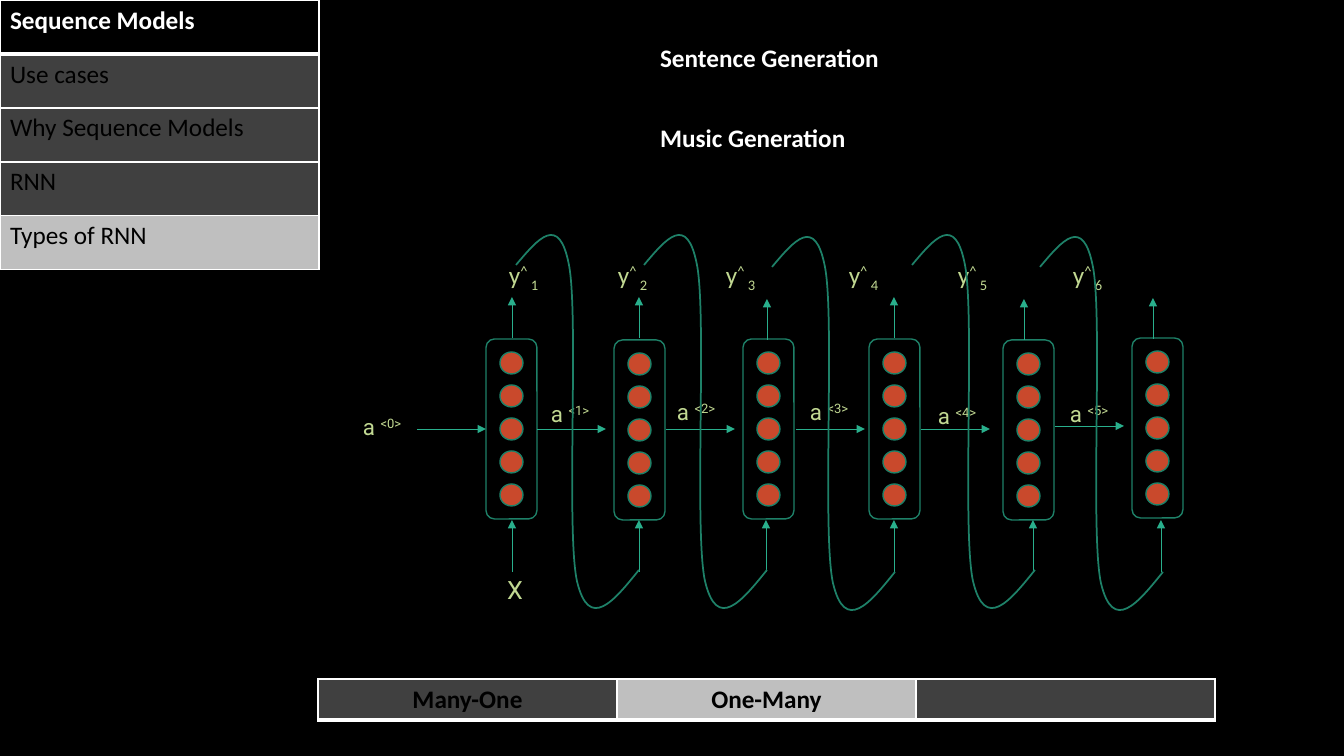
"""Build the one-to-many recurrent network slide."""
from lxml import etree
from pptx import Presentation
from pptx.dml.color import RGBColor
from pptx.enum.shapes import MSO_CONNECTOR, MSO_SHAPE
from pptx.enum.text import MSO_ANCHOR, MSO_AUTO_SIZE, PP_ALIGN
from pptx.oxml.ns import qn
from pptx.util import Emu, Pt

STRAIGHT = MSO_CONNECTOR.STRAIGHT
ROUNDED, OVAL = MSO_SHAPE.ROUNDED_RECTANGLE, MSO_SHAPE.OVAL
TOP, MIDDLE = MSO_ANCHOR.TOP, MSO_ANCHOR.MIDDLE
LEFT, CENTER = PP_ALIGN.LEFT, PP_ALIGN.CENTER
FIT_TEXT = MSO_AUTO_SIZE.SHAPE_TO_FIT_TEXT

BLACK = RGBColor(0x00, 0x00, 0x00)
WHITE = RGBColor(0xFF, 0xFF, 0xFF)
DARK_GRAY = RGBColor(0x40, 0x40, 0x40)
LIGHT_GRAY = RGBColor(0xBF, 0xBF, 0xBF)
GREEN = RGBColor(0x1E, 0x81, 0x68)
ARROW_GREEN = RGBColor(0x29, 0xAF, 0x8C)
ORANGE = RGBColor(0xC9, 0x49, 0x2C)
LIME = RGBColor(0xC1, 0xD8, 0x92)

EMU_PER_PX = 914400 / 100.8
PLAIN_TABLE = "{2D5ABB26-0587-4C30-8999-92F81FD0307C}"


def px(*lengths):
    """Turn pixel lengths into EMU."""
    return [Emu(round(length * EMU_PER_PX)) for length in lengths]


def write(paragraph, pieces, name, size, color, bold=False):
    """Add runs given as (text, baseline shift in percent)."""
    for text, shift in pieces:
        run = paragraph.add_run()
        run.text = text
        for attribute, value in {"name": name, "size": Pt(size), "bold": bold}.items():
            setattr(run.font, attribute, value)
        run.font.color.rgb = color
        if shift:
            run.font._element.set("baseline", str(shift * 1000))


presentation = Presentation()
presentation.slide_width, presentation.slide_height = px(1344, 756)
slide = presentation.slides.add_slide(presentation.slide_layouts[6])
slide.background.fill.solid()
slide.background.fill.fore_color.rgb = BLACK

topics = [
    ("Sequence Models", BLACK, WHITE, True),
    ("Use cases", DARK_GRAY, BLACK, False),
    ("Why Sequence Models", DARK_GRAY, BLACK, False),
    ("RNN", DARK_GRAY, BLACK, False),
    ("Types of RNN", LIGHT_GRAY, BLACK, False),
]
network_types = [
    ("Many-One", DARK_GRAY, BLACK, True),
    ("One-Many", LIGHT_GRAY, BLACK, True),
    ("", DARK_GRAY, BLACK, True),
]
examples = [
    ("Sentence Generation", None, WHITE, True),
    ("Music Generation", None, WHITE, True),
]
tables = [
    (0, 0, 319, 54, [[topic] for topic in topics], LEFT, TOP),
    (318, 679, 299, 41, [network_types], CENTER, TOP),
    (650, 19, 259, 80, [[example] for example in examples], LEFT, MIDDLE),
]
for left, top, cell_width, cell_height, rows, alignment, anchor in tables:
    column_count = len(rows[0])
    box = px(left, top, cell_width * column_count, cell_height * len(rows))
    table = slide.shapes.add_table(len(rows), column_count, *box).table
    table._tbl.tblPr.find(qn("a:tableStyleId")).text = PLAIN_TABLE
    for row_index, row in enumerate(rows):
        for column_index, (text, fill, color, bold) in enumerate(row):
            cell = table.cell(row_index, column_index)
            cell.vertical_anchor = anchor
            paragraph = cell.text_frame.paragraphs[0]
            paragraph.alignment = alignment
            if text:
                write(paragraph, [(text, 0)], "Calibri", 18, color, bold)
            if fill is None:
                cell.fill.background()
                continue
            borders = {"a:lnL": 1, "a:lnR": 1, "a:lnT": 1, "a:lnB": 3 if row_index == 0 else 1}
            if row_index > 0:
                del borders["a:lnT"]
            properties = cell._tc.get_or_add_tcPr()
            for tag, points in borders.items():
                border = etree.SubElement(properties, qn(tag), w=str(Pt(points)))
                solid = etree.SubElement(border, qn("a:solidFill"))
                etree.SubElement(solid, qn("a:srgbClr"), val=str(WHITE))
            cell.fill.solid()
            cell.fill.fore_color.rgb = fill

cells = [(486, 339), (614, 340), (743, 339), (869, 339), (1003, 340), (1132, 338)]
for left, top in cells:
    group = slide.shapes.add_group_shape()
    parts = [(ROUNDED, left, top, 51, 180)]
    parts += [(OVAL, left + 14, top + 13 + 33 * unit, 23, 22) for unit in range(5)]
    for kind, *box in parts:
        shape = group.shapes.add_shape(kind, *px(*box))
        shape.shadow.inherit = False
        shape.line.color.rgb = GREEN
        shape.line.width = Pt(1)
        if kind == OVAL:
            shape.fill.solid()
            shape.fill.fore_color.rgb = ORANGE
        else:
            shape.fill.background()

input_arrows = [(x, 572, x, 520) for x in (512, 639, 766, 894, 1033, 1161)]
state_starts = [(417, 429), (537, 429), (666, 429), (796, 429), (921, 429), (1055, 426)]
state_arrows = [(x, y, x + 69, y) for x, y in state_starts]
output_tips = [(512, 297), (639, 297), (767, 299), (894, 297), (1024, 299), (1153, 298)]
output_arrows = [(x, y + 41, x, y) for x, y in output_tips]
for ends in input_arrows + state_arrows + output_arrows:
    arrow = slide.shapes.add_connector(STRAIGHT, *px(*ends))
    arrow.line.color.rgb = ARROW_GREEN
    arrow.line.width = Pt(0.5)
    etree.SubElement(arrow.line._get_or_add_ln(), qn("a:tailEnd"), type="triangle")
    etree.SubElement(arrow._element.spPr, qn("a:effectLst"))

output_pieces = []
for step in range(1, 7):
    output_pieces += [("y" if step == 1 else "\ty", 0), ("^ ", 30), (str(step), -25)]
state_places = [(353, 408), (541, 395), (667, 393), (800, 393), (928, 397), (1060, 395)]
labels = [
    (left, top, 59, 37, [("a ", 0), (f"<{step}>", 30)], "Roboto", 16)
    for step, (left, top) in enumerate(state_places)
]
labels.append((491, 569, 59, 40, [(" X", 0)], "Roboto", 18))
labels.append((499, 254, 788, 40, output_pieces, "Calibri", 18))
for *box, pieces, font_name, size in labels:
    text_frame = slide.shapes.add_textbox(*px(*box)).text_frame
    text_frame.word_wrap = True
    text_frame.auto_size = FIT_TEXT
    paragraph = text_frame.paragraphs[0]
    write(paragraph, pieces, font_name, size, LIME)
    if pieces is output_pieces:
        tab_list = etree.SubElement(paragraph._p.get_or_add_pPr(), qn("a:tabLst"))
        for position in px(109, 217, 340, 449, 564):
            etree.SubElement(tab_list, qn("a:tab"), pos=str(position), algn="l")

RISE, DROP, SPAN = 30, 344, 123
bends = [
    [(22, -26), (43, -52), (53, 0)],
    [(63, 52), (50, 265), (61, 316)],
    [(73, 367), (98, 336), (123, 305)],
]
for left, top in [(516, 265), (644, 265), (772, 267), (912, 265), (1040, 267)]:
    builder = slide.shapes.build_freeform(*px(left, top))
    frame = [(left, top - RISE), (left + SPAN, top + DROP)]
    builder.add_line_segments([px(*corner) for corner in frame], close=False)
    curve = builder.convert_to_shape()
    outline = curve._element.find(".//" + qn("a:path"))
    for segment in outline.findall(qn("a:lnTo")):
        outline.remove(segment)
    for bend in bends:
        segment = etree.SubElement(outline, qn("a:cubicBezTo"))
        for point in bend:
            x, y = px(point[0], point[1] + RISE)
            etree.SubElement(segment, qn("a:pt"), x=str(x), y=str(y))
    curve.shadow.inherit = False
    curve.fill.background()
    curve.line.color.rgb = GREEN
    curve.line.width = Pt(1.25)

presentation.save("out.pptx")
